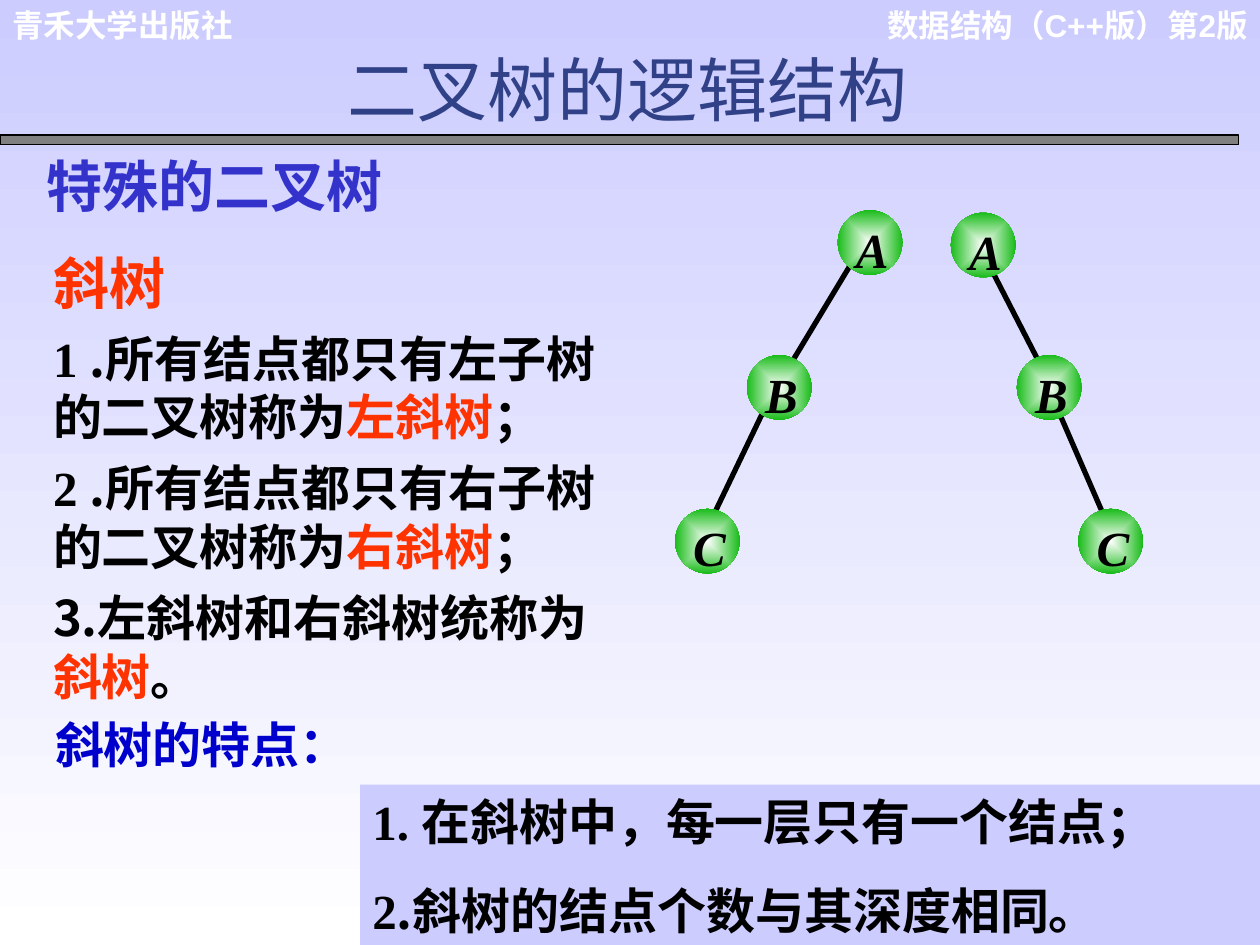
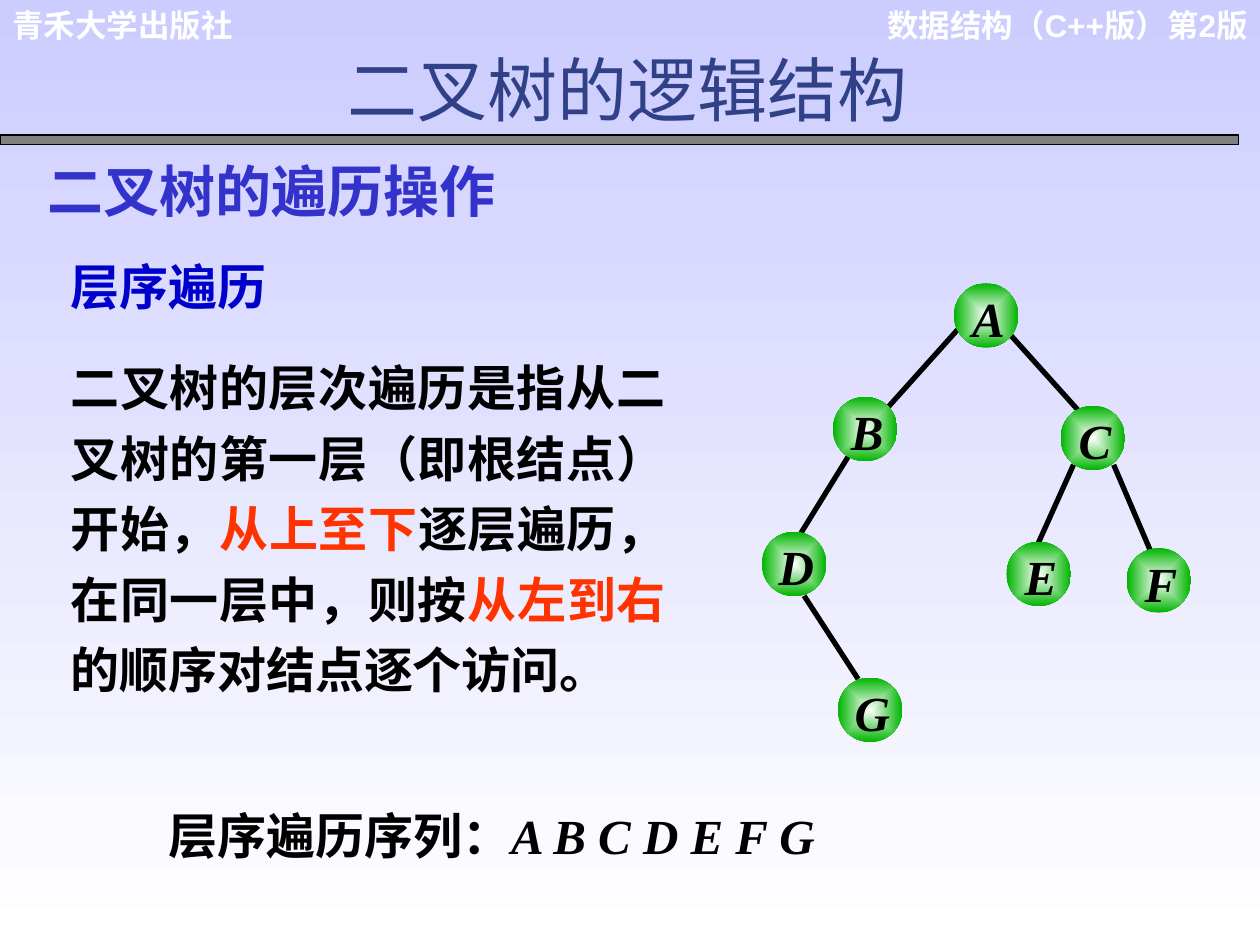
"""Builds two lecture slides on skewed binary trees and level-order traversal."""
from dataclasses import dataclass

from lxml import etree
from pptx import Presentation
from pptx.dml.color import RGBColor
from pptx.enum.shapes import MSO_CONNECTOR, MSO_SHAPE
from pptx.enum.text import MSO_ANCHOR, MSO_AUTO_SIZE, PP_ALIGN
from pptx.oxml import parse_xml
from pptx.oxml.ns import nsdecls, qn
from pptx.util import Cm, Pt

RECTANGLE, OVAL = MSO_SHAPE.RECTANGLE, MSO_SHAPE.OVAL
STRAIGHT = MSO_CONNECTOR.STRAIGHT
TOP, NO_FIT = MSO_ANCHOR.TOP, MSO_AUTO_SIZE.NONE
LEFT, CENTER, RIGHT, JUSTIFY = PP_ALIGN.LEFT, PP_ALIGN.CENTER, PP_ALIGN.RIGHT, PP_ALIGN.JUSTIFY


@dataclass(frozen=True)
class Theme:
    serif: str = "Times New Roman"
    sans: str = "Arial"
    cjk: str = "Noto Sans CJK SC"
    ink: str = "000000"
    paper: str = "FFFFFF"
    lilac: str = "CCCCFF"
    bar: str = "808080"
    title: str = "314187"
    heading: str = "3333CC"
    topic: str = "0000CC"
    accent: str = "FF3300"
    node: str = "00B400"
    title_size: int = 40
    heading_size: int = 32
    text_size: int = 28
    header_size: int = 18
    edge_width: int = 3


THEME = Theme()
ACCENT = {"color": THEME.accent}
CJK = {"name": THEME.cjk}
PADDING = (0.25, 0.13)


class Deck:
    def __init__(self, theme):
        self.theme = theme
        self.prs = Presentation()
        self.prs.slide_width, self.prs.slide_height = Cm(25.4), Cm(19.05)
        self.slide = None
        fill = self.prs.slide_master.background.fill
        fill.gradient()
        fill.gradient_angle = 270
        for stop, position, color in zip(fill.gradient_stops, (0, 1), (theme.lilac, theme.paper)):
            stop.position = position
            stop.color.rgb = RGBColor.from_string(color)

    def start(self, title):
        t = self.theme
        self.slide = self.prs.slides.add_slide(self.prs.slide_layouts[1])
        header = {"size": t.header_size, "name": t.sans, "color": t.paper}
        self.text((17.5, 0, 7.9, 1.78), [["数据结构（C++版）第2版"]], header, align=RIGHT, before=11.2)
        self.text((0, 0, 6.88, 1.02), [["青禾大学出版社"]], header, before=11.2)
        self.bar((0, 2.72, 24.97, 0.2), t.bar, t.ink)
        self.place(self.slide.shapes.title, (0.43, 0.81, 24.43, 1.96))
        self.fill_text(self.slide.shapes.title.text_frame, [[title]],
                       {"size": t.title_size, "name": t.cjk, "color": t.title, "bold": False},
                       align=CENTER, before=25)

    def place(self, shape, box):
        for side, length in zip(("left", "top", "width", "height"), box):
            setattr(shape, side, Cm(length))

    def fill_text(self, frame, paragraphs, style=None, padding=PADDING, align=LEFT, before=17.5, spacing=1.0):
        across, down = (Cm(length) for length in padding)
        layout = {"word_wrap": True, "auto_size": NO_FIT, "vertical_anchor": TOP,
                  "margin_left": across, "margin_right": across,
                  "margin_top": down, "margin_bottom": down}
        for key, value in layout.items():
            setattr(frame, key, value)
        for index, runs in enumerate(paragraphs):
            paragraph = frame.add_paragraph() if index else frame.paragraphs[0]
            rules = {"alignment": align, "space_before": Pt(before), "line_spacing": spacing}
            for key, value in rules.items():
                setattr(paragraph, key, value)
            properties = paragraph._p.get_or_add_pPr()
            properties.set("marL", "0")
            properties.set("indent", "0")
            etree.SubElement(properties, qn("a:buNone"))
            for part in runs:
                words, change = (part, {}) if isinstance(part, str) else part
                self.add_words(paragraph, words, {**(style or {}), **change})

    def add_words(self, paragraph, words, style):
        t = self.theme
        look = {"size": t.text_size, "name": t.serif, "bold": True, "color": t.ink, **style}
        color, look["size"] = look.pop("color"), Pt(look["size"])
        run = paragraph.add_run()
        run.text = words
        for key, value in look.items():
            setattr(run.font, key, value)
        run.font.color.rgb = RGBColor.from_string(color)
        etree.SubElement(run._r.get_or_add_rPr(), qn("a:ea"), typeface=t.cjk)

    def text(self, box, paragraphs, style=None, **layout):
        frame = self.slide.shapes.add_textbox(*map(Cm, box)).text_frame
        self.fill_text(frame, paragraphs, style, **layout)
        return frame

    def body(self, box, paragraphs, style=None, **layout):
        holder = self.slide.placeholders[1]
        self.place(holder, box)
        self.fill_text(holder.text_frame, paragraphs, style, **layout)

    def heading(self, box, words, shadow=False, **look):
        style = {"size": self.theme.heading_size, "color": self.theme.heading, **look}
        frame = self.text(box, [[words]], style)
        if shadow:
            properties = frame.paragraphs[0].runs[0]._r.get_or_add_rPr()
            properties.find(qn("a:solidFill")).addnext(parse_xml(
                f'<a:effectLst {nsdecls("a")}><a:outerShdw dist="25400" dir="2700000">'
                f'<a:srgbClr val="{self.theme.bar}"/></a:outerShdw></a:effectLst>'))

    def bar(self, box, color, outline=None):
        shape = self.slide.shapes.add_shape(RECTANGLE, *map(Cm, box))
        shape.shadow.inherit = False
        shape.fill.solid()
        shape.fill.fore_color.rgb = RGBColor.from_string(color)
        if outline:
            shape.line.color.rgb = RGBColor.from_string(outline)
            shape.line.width = Pt(0.74)
        else:
            shape.line.fill.background()
        return shape

    def edge(self, start, end):
        line = self.slide.shapes.add_connector(STRAIGHT, *map(Cm, start + end))
        line.line.color.rgb = RGBColor.from_string(self.theme.ink)
        line.line.width = Pt(self.theme.edge_width)
        etree.SubElement(line._element.spPr, qn("a:effectLst"))

    def node(self, letter, x, y, tilt, label_height, drop):
        t, size = self.theme, 1.3
        left, top = x - size / 2, y - size / 2
        circle = self.slide.shapes.add_shape(OVAL, *map(Cm, (left, top, size, size)))
        circle.rotation = tilt
        circle.line.fill.background()
        circle.shadow.inherit = False
        circle._element.spPr.find(qn("a:prstGeom")).addnext(parse_xml(
            f'<a:gradFill {nsdecls("a")} rotWithShape="1"><a:gsLst>'
            f'<a:gs pos="0"><a:srgbClr val="{t.paper}"/></a:gs>'
            f'<a:gs pos="100000"><a:srgbClr val="{t.node}"/></a:gs></a:gsLst>'
            '<a:path path="rect"><a:fillToRect l="50000" t="50000" r="50000" b="50000"/></a:path>'
            '</a:gradFill>'))
        self.text((left + 0.15, top - 0.1, 1.09, label_height), [[letter]], {"italic": True},
                  padding=(0, drop), align=CENTER, before=0)

    def tree(self, nodes, edges, tilt=0, label_height=1.7, drop=0.2):
        for start, end in edges:
            self.edge(start, end)
        for letter, (x, y) in nodes.items():
            self.node(letter, x, y, tilt, label_height, drop)


def skewed_trees(deck):
    deck.start("二叉树的逻辑结构")
    deck.heading((0.69, 2.92, 11, 1.63), "特殊的二叉树")
    deck.body((1.07, 4.88, 11, 9.47), [
        [("斜树", {"size": THEME.heading_size, **ACCENT})],
        ["1 ", (".所", CJK), "有结点都只有左子树的二叉树称为", ("左斜树", ACCENT), "；"],
        ["2 ", (".", CJK), "所有结点都只有右子树的二叉树称为", ("右斜树", ACCENT), "；"],
        [("3.左斜树和右斜树统称为", CJK), ("斜树", ACCENT), "。"],
    ], padding=(0, 0.13), before=7)
    panel = deck.bar((7.26, 15.82, 18.14, 3.25), THEME.lilac)
    deck.fill_text(panel.text_frame, [
        ["1. ", ("在斜树中，每一层只有一个结点；", CJK)],
        ["2", (".斜树的结点个数与其深度相同。", CJK)],
    ])
    deck.text((0.86, 14.27, 10.59, 1.45), [["斜树的特点："]], {"color": THEME.topic})
    tilted = {"tilt": 352.6, "label_height": 1.52, "drop": 0.28}
    deck.tree({"A": (17.54, 4.89), "B": (15.71, 7.81), "C": (14.26, 10.91)},
              [((17.12, 5.38), (15.95, 7.32)), ((15.37, 8.33), (14.43, 10.29))], **tilted)
    deck.tree({"A": (19.82, 4.94), "B": (21.15, 7.81), "C": (22.39, 10.91)},
              [((20.04, 5.54), (20.9, 7.21)), ((21.39, 8.41), (22.28, 10.46))], **tilted)


def level_order(deck):
    deck.start("二叉树的逻辑结构")
    deck.heading((0.71, 3.02, 15.04, 1.63), "二叉树的遍历操作", shadow=True, **CJK)
    deck.body((1.17, 4.8, 12.5, 9.42), [
        [("层序遍历", {"color": THEME.topic})],
        ["二叉树的层次遍历是指从二叉树的第一层（即根结点）开始，", ("从上至下", ACCENT),
         "逐层遍历，在同一层中，则按", ("从左到右", ACCENT), "的顺序对结点逐个访问。"],
    ], align=JUSTIFY, spacing=1.2)
    deck.text((3.15, 16.1, 14.22, 1.45),
              [["层序遍历序列：", ("A B C D E F G", {"italic": True})]], align=JUSTIFY)
    deck.tree({"A": (19.88, 6.36), "B": (17.44, 8.65), "C": (22.03, 8.83), "D": (16.01, 11.37),
               "E": (20.94, 11.57), "F": (23.36, 11.7), "G": (17.54, 14.31)},
              [((19.3, 6.65), (17.91, 8.2)), ((20.35, 6.73), (21.77, 8.31)),
               ((17.12, 9.17), (16.15, 10.74)), ((16.21, 12.01), (17.3, 13.69)),
               ((21.64, 9.37), (20.93, 10.95)), ((22.45, 9.37), (23.19, 11.1))])


lecture = Deck(THEME)
skewed_trees(lecture)
level_order(lecture)
lecture.prs.save("out.pptx")
